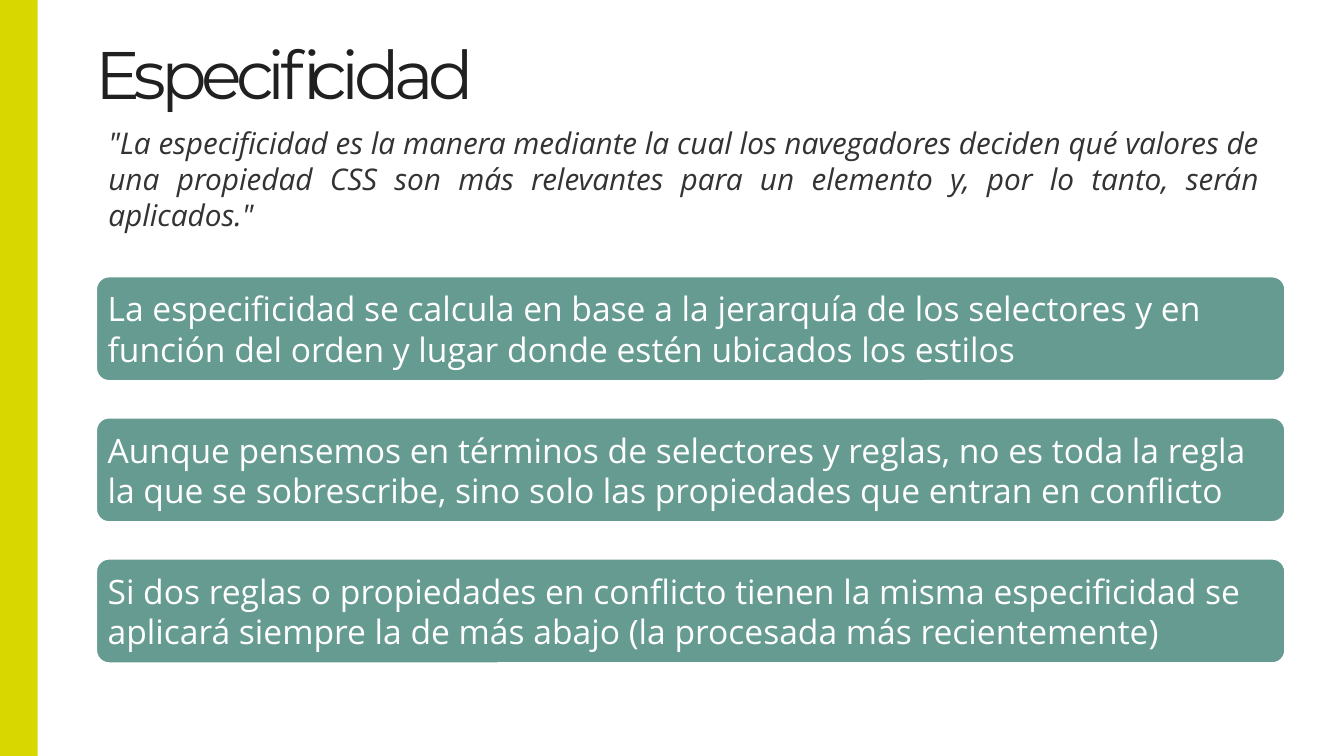
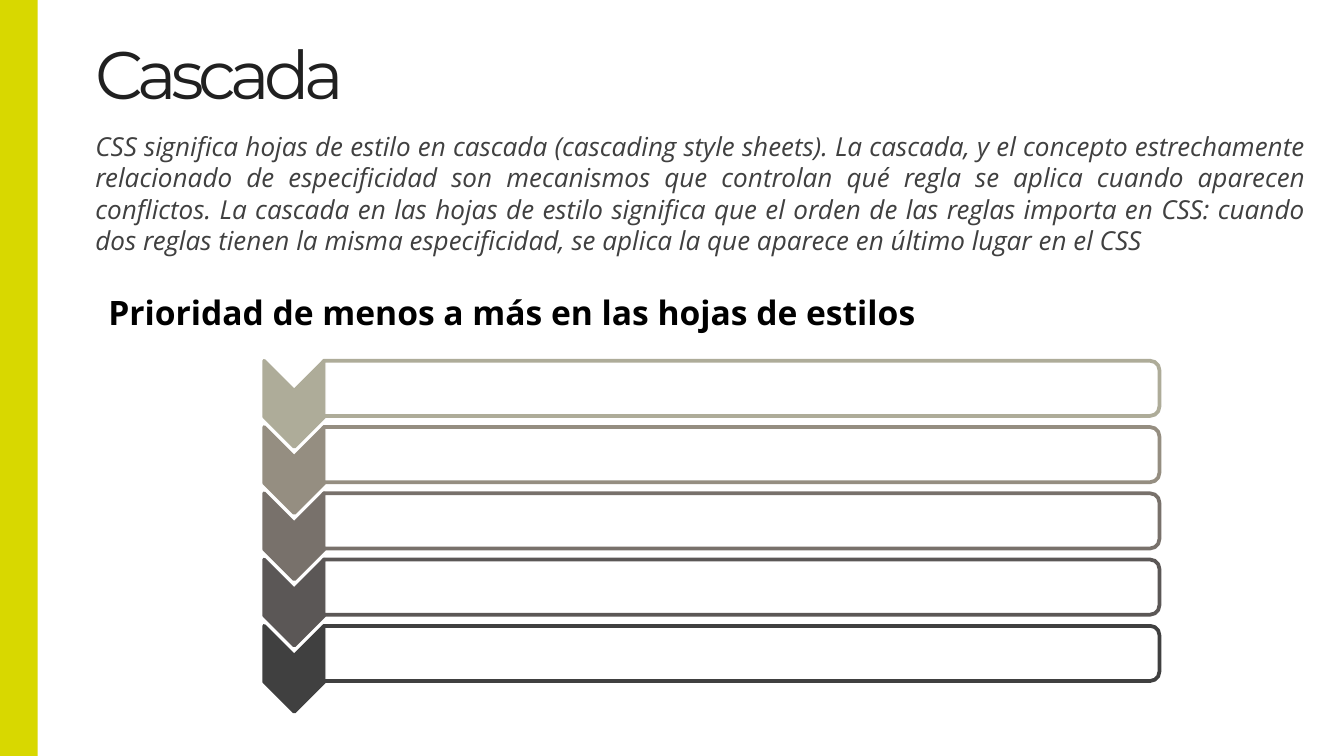
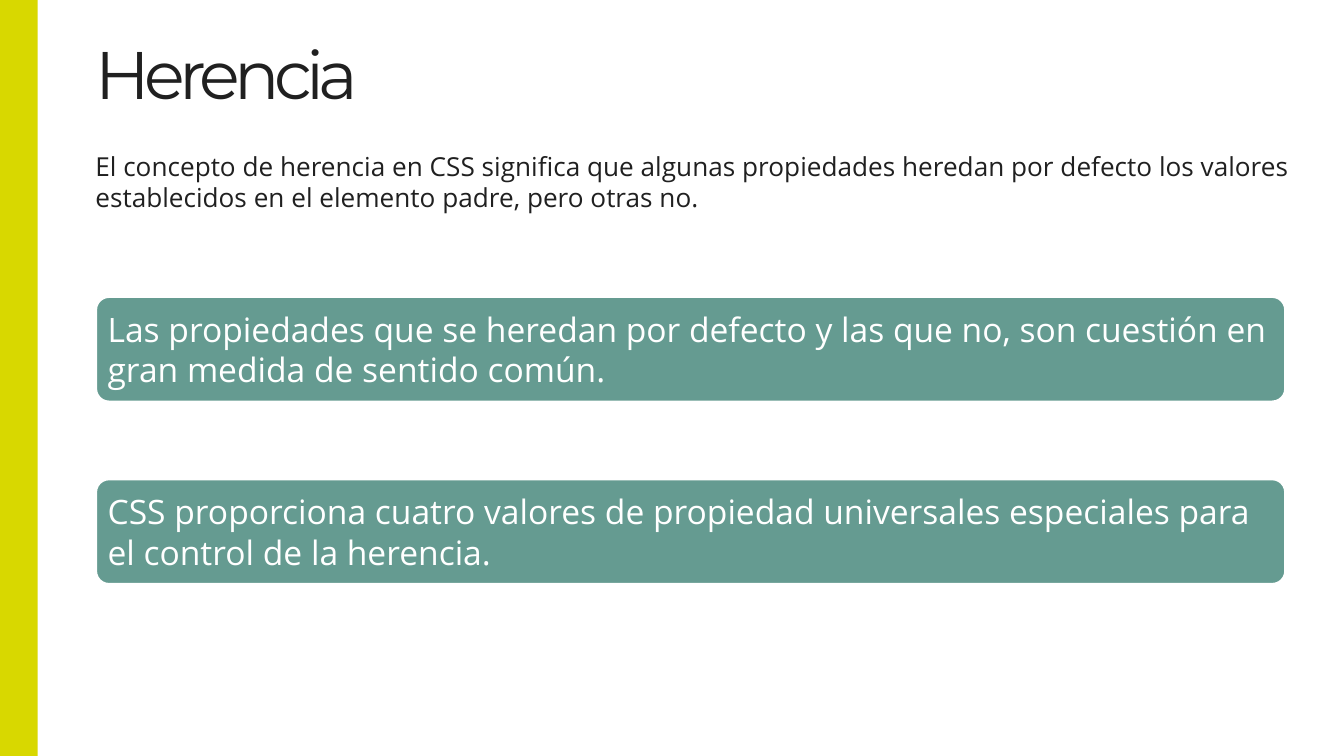
"""Build three slides on CSS specificity, cascade and inheritance."""
import lxml.etree
import pptx
import pptx.dml.color
import pptx.enum.shapes
import pptx.enum.text
import pptx.oxml.ns
import pptx.util

Pt = pptx.util.Pt
SHAPES = pptx.enum.shapes.MSO_SHAPE
ALIGN = pptx.enum.text.PP_ALIGN
ANCHOR = pptx.enum.text.MSO_ANCHOR
FIT = pptx.enum.text.MSO_AUTO_SIZE

WIDTH, HEIGHT = 720, 405
BAND_WIDTH = 20.16
MARGIN = 51
TITLE_FONT, BODY_FONT = "Montserrat", "Open Sans"
LIME, TEAL, WHITE, BLACK, INK = "D8D800", "659B91", "FFFFFF", "000000", "202020"
DEFAULT_INSETS = (7.2, 3.6, 7.2, 3.6)
CARD_WIDTH, CARD_HEIGHT = 638, 57
ROW_TOP, ROW_STEP = 193.3, 35.5

SLIDES = [
    {
        "title": "Especificidad",
        "intro": '"La especificidad es la manera mediante la cual los navegadores deciden qué valores '
                 "de una propiedad CSS son más relevantes para un elemento y, por lo tanto, serán "
                 'aplicados."',
        "intro_box": (MARGIN, 63.4, 631, 65.5),
        "intro_style": {"size": 16, "color": "333333", "italic": True, "align": ALIGN.JUSTIFY},
        "cards_top": 147.6,
        "cards_step": 75.6,
        "cards": [
            "La especificidad se calcula en base a la jerarquía de los selectores y en función del "
            "orden y lugar donde estén ubicados los estilos",
            "Aunque pensemos en términos de selectores y reglas, no es toda la regla la que se "
            "sobrescribe, sino solo las propiedades que entran en conflicto",
            "Si dos reglas o propiedades en conflicto tienen la misma especificidad se aplicará "
            "siempre la de más abajo (la procesada más recientemente)",
        ],
    },
    {
        "title": "Cascada",
        "intro": "CSS significa hojas de estilo en cascada (cascading style sheets). La cascada, y el "
                 "concepto estrechamente relacionado de especificidad son mecanismos que controlan "
                 "qué regla se aplica cuando aparecen conflictos. La cascada en las hojas de estilo "
                 "significa que el orden de las reglas importa en CSS: cuando dos reglas tienen la "
                 "misma especificidad, se aplica la que aparece en último lugar en el CSS",
        "intro_box": (44, 66.2, 663, 75),
        "intro_style": {"size": 14, "color": "404040", "italic": True, "align": ALIGN.JUSTIFY},
        "heading": "Prioridad de menos a más en las hojas de estilos",
        "priority_colors": ["AEAC99", "958E81", "78716B", "5B5756", "404040"],
    },
    {
        "title": "Herencia",
        "intro": "El concepto de herencia en CSS significa que algunas propiedades heredan por "
                 "defecto los valores establecidos en el elemento padre, pero otras no.",
        "intro_box": (44, 77, 663, 41),
        "intro_style": {"size": 14, "color": INK},
        "cards_top": 158.6,
        "cards_step": 97.7,
        "cards": [
            "Las propiedades que se heredan por defecto y las que no, son cuestión en gran medida "
            "de sentido común.",
            "CSS proporciona cuatro valores de propiedad universales especiales para el control de "
            "la herencia.",
        ],
    },
]


def rgb(value):
    return pptx.dml.color.RGBColor.from_string(value)


def write(shape, text, size, color, font=BODY_FONT, bold=False, italic=False,
          align=ALIGN.LEFT, anchor=ANCHOR.TOP, insets=DEFAULT_INSETS, fit=FIT.NONE):
    frame = shape.text_frame
    frame.word_wrap = True
    frame.auto_size = fit
    frame.vertical_anchor = anchor
    frame.margin_left, frame.margin_top, frame.margin_right, frame.margin_bottom = map(Pt, insets)
    paragraph = frame.paragraphs[0]
    paragraph.alignment = align
    run = paragraph.add_run()
    run.text = text
    run.font.name = font
    run.font.size = Pt(size)
    run.font.bold = bold
    run.font.italic = italic
    run.font.color.rgb = rgb(color)
    return run


def add_text(slide, box, text, size, color, **style):
    return write(slide.shapes.add_textbox(*map(Pt, box)), text, size, color, **style)


def add_block(slide, kind, box, fill, line=None):
    shape = slide.shapes.add_shape(kind, *map(Pt, box))
    shape.shadow.inherit = False
    shape.fill.solid()
    shape.fill.fore_color.rgb = rgb(fill)
    if line:
        shape.line.color.rgb = rgb(line)
        shape.line.width = Pt(2)
    else:
        shape.line.fill.background()
    return shape


def add_turned_block(slide, kind, box, fill, line):
    left, top, width, height = box
    shift = (width - height) / 2
    shape = add_block(slide, kind, (left + shift, top - shift, height, width), fill, line)
    shape.rotation = 90
    return shape


def set_opacity(shape, percent):
    color = shape.fill._xPr.find(".//" + pptx.oxml.ns.qn("a:srgbClr"))
    alpha = lxml.etree.SubElement(color, pptx.oxml.ns.qn("a:alpha"))
    alpha.set("val", str(percent * 1000))


def add_title(slide, text):
    run = add_text(slide, (MARGIN, 0, 649.4, 64), text, 36, INK, font=TITLE_FONT,
                   anchor=ANCHOR.BOTTOM, insets=(0, 3.6, 7.2, 3.6))
    run.font._element.set("spc", "-300")


def add_cards(slide, texts, first_top, step):
    for index, text in enumerate(texts):
        box = (MARGIN, first_top + index * step, CARD_WIDTH, CARD_HEIGHT)
        card = add_block(slide, SHAPES.ROUNDED_RECTANGLE, box, TEAL, WHITE)
        card.adjustments[0] = 0.13
        write(card, text, 18, WHITE, anchor=ANCHOR.MIDDLE, insets=(4.5,) * 4)


def add_priorities(slide, colors):
    for index, color in enumerate(colors):
        top = ROW_TOP + index * ROW_STEP
        add_turned_block(slide, SHAPES.CHEVRON, (141.5, top, 32.2, 46), color, color)
        bar = add_turned_block(slide, SHAPES.ROUND_2_SAME_RECTANGLE,
                               (173.3, top, 447.8, 29.5), WHITE, color)
        set_opacity(bar, 90)


def build_slide(presentation, content):
    slide = presentation.slides.add_slide(presentation.slide_layouts[6])
    add_title(slide, content["title"])
    add_block(slide, SHAPES.RECTANGLE, (0, 0, BAND_WIDTH, HEIGHT), LIME)
    add_text(slide, content["intro_box"], content["intro"], fit=FIT.SHAPE_TO_FIT_TEXT,
             **content["intro_style"])
    if "cards" in content:
        add_cards(slide, content["cards"], content["cards_top"], content["cards_step"])
    if "priority_colors" in content:
        add_priorities(slide, content["priority_colors"])
        add_text(slide, (MARGIN, 152.6, 487.4, 29), content["heading"], 18, BLACK, bold=True,
                 fit=FIT.SHAPE_TO_FIT_TEXT)


def main():
    presentation = pptx.Presentation()
    presentation.slide_width, presentation.slide_height = Pt(WIDTH), Pt(HEIGHT)
    for content in SLIDES:
        build_slide(presentation, content)
    presentation.save("out.pptx")


if __name__ == "__main__":
    main()
